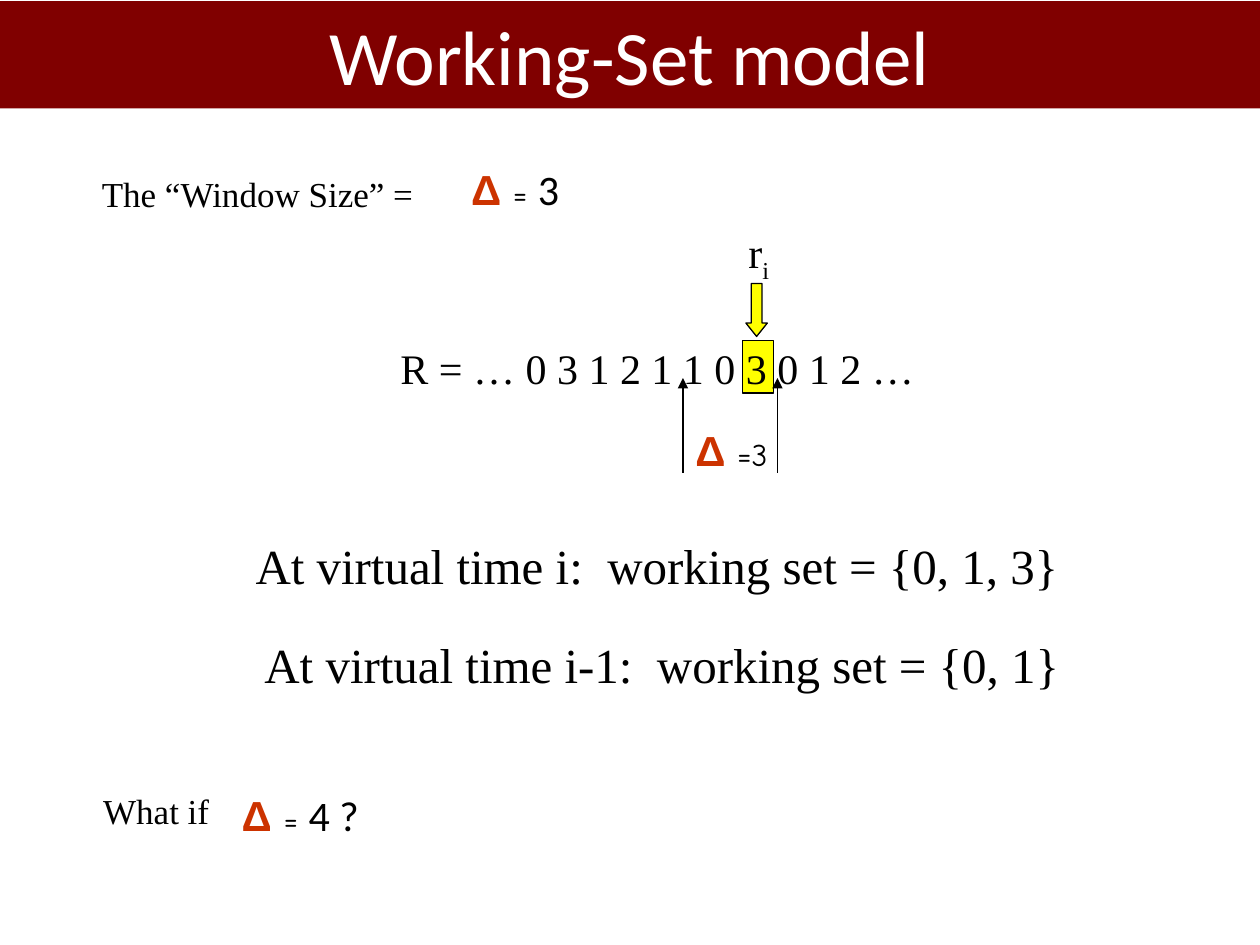
from lxml.etree import SubElement
from pptx import Presentation
from pptx.dml.color import RGBColor
from pptx.enum.shapes import MSO_CONNECTOR as Connector, MSO_SHAPE as Shape
from pptx.enum.text import MSO_ANCHOR as Anchor, MSO_AUTO_SIZE as AutoSize, PP_ALIGN as Align
from pptx.oxml.ns import qn
from pptx.util import Inches, Pt

COLORS = {"text": "000000", "delta": "CC3300", "marker": "FFFF00", "banner": "800000", "title": "FFFFFF"}
SERIF, SANS, COMIC, SYMBOL = "Times New Roman", "Calibri", "Comic Neue", "Arial"


class SlideBuilder:
    """Holds the style and the current slide, and adds each kind of element."""

    def __init__(self, slide, colors):
        self.slide = slide
        self.colors = colors

    def color(self, name):
        return RGBColor.from_string(self.colors[name])

    def format_run(self, run, font, size, color="text", bold=False):
        run.font.name = font
        run.font.size = Pt(size)
        run.font.bold = bold
        run.font.color.rgb = self.color(color)

    def text(self, box, content, size, wrap=False):
        textbox = self.slide.shapes.add_textbox(*map(Inches, box))
        frame = textbox.text_frame
        frame.word_wrap = wrap
        frame.auto_size = AutoSize.SHAPE_TO_FIT_TEXT
        frame.text = content
        paragraph = frame.paragraphs[0]
        self.format_run(paragraph.runs[0], SERIF, size)
        return paragraph

    def add_run(self, paragraph, content, font, size):
        run = paragraph.add_run()
        run.text = content
        self.format_run(run, font, size)
        return run

    def delta(self, box, parts, wrap=True):
        paragraph = self.text(box, "Δ ", 24, wrap)
        self.format_run(paragraph.runs[0], SYMBOL, 24, "delta", True)
        for content, font, size in parts:
            self.add_run(paragraph, content, font, size)

    def subscripted(self, box, base, subscript, size):
        paragraph = self.text(box, base, size)
        run = self.add_run(paragraph, subscript, SERIF, size)
        run.font._element.set("baseline", "-25000")

    def shape(self, kind, box, fill, outlined=True):
        shape = self.slide.shapes.add_shape(kind, *map(Inches, box))
        shape.shadow.inherit = False
        shape.fill.solid()
        shape.fill.fore_color.rgb = self.color(fill)
        if outlined:
            shape.line.color.rgb = self.color("text")
            shape.line.width = Pt(0.75)
        else:
            shape.line.fill.background()
        return shape

    def banner(self, box, title):
        shape = self.shape(Shape.RECTANGLE, box, "banner", outlined=False)
        frame = shape.text_frame
        frame.vertical_anchor = Anchor.MIDDLE
        frame.text = title
        paragraph = frame.paragraphs[0]
        paragraph.alignment = Align.CENTER
        self.format_run(paragraph.runs[0], SANS, 44, "title")

    def arrow(self, start, end):
        connector = self.slide.shapes.add_connector(Connector.STRAIGHT, *map(Inches, start + end))
        connector.line.color.rgb = self.color("text")
        connector.line.width = Pt(0.75)
        SubElement(connector.line._get_or_add_ln(), qn("a:tailEnd"), type="triangle")
        SubElement(connector._element.spPr, qn("a:effectLst"))


def main():
    presentation = Presentation()
    presentation.slide_width, presentation.slide_height = Inches(10), Inches(7.5)
    builder = SlideBuilder(presentation.slides.add_slide(presentation.slide_layouts[6]), COLORS)

    builder.banner((0, 0.01, 10, 0.85), "Working-Set model")

    builder.text((0.71, 1.32, 2.74, 0.43), "The “Window Size” =", 20)
    builder.delta((3.64, 1.25, 0.93, 0.5), [("= ", COMIC, 18), ("3", SANS, 24)])

    builder.shape(Shape.RECTANGLE, (5.89, 2.7, 0.25, 0.42), "marker")
    builder.text((3.08, 2.67, 4.35, 0.5), "R = … 0 3 1 2 1 1 0 3 0 1 2 …", 24)
    builder.subscripted((5.84, 1.75, 0.42, 0.55), "r", "i", 24)
    pointer = builder.shape(Shape.DOWN_ARROW, (5.92, 2.25, 0.17, 0.42), "marker")
    pointer.adjustments[0] = 0.5
    pointer.adjustments[1] = 0.625
    for window_edge in (5.42, 6.17):
        builder.arrow((window_edge, 3.75), (window_edge, 3))
    builder.delta((5.42, 3.32, 0.85, 0.5), [("=3", COMIC, 18)], wrap=False)

    builder.text((1.93, 4.2, 6.6, 0.57), "At virtual time i:  working set = {0, 1, 3}", 28)
    builder.text((2, 4.99, 6.55, 0.57), "At virtual time i-1:  working set = {0, 1}", 28)

    builder.text((0.72, 6.22, 1.11, 0.43), "What if", 20)
    builder.delta((1.82, 6.22, 2.09, 0.5), [("= ", COMIC, 18), ("4 ?", SANS, 24)])

    presentation.save("out.pptx")


if __name__ == "__main__":
    main()
